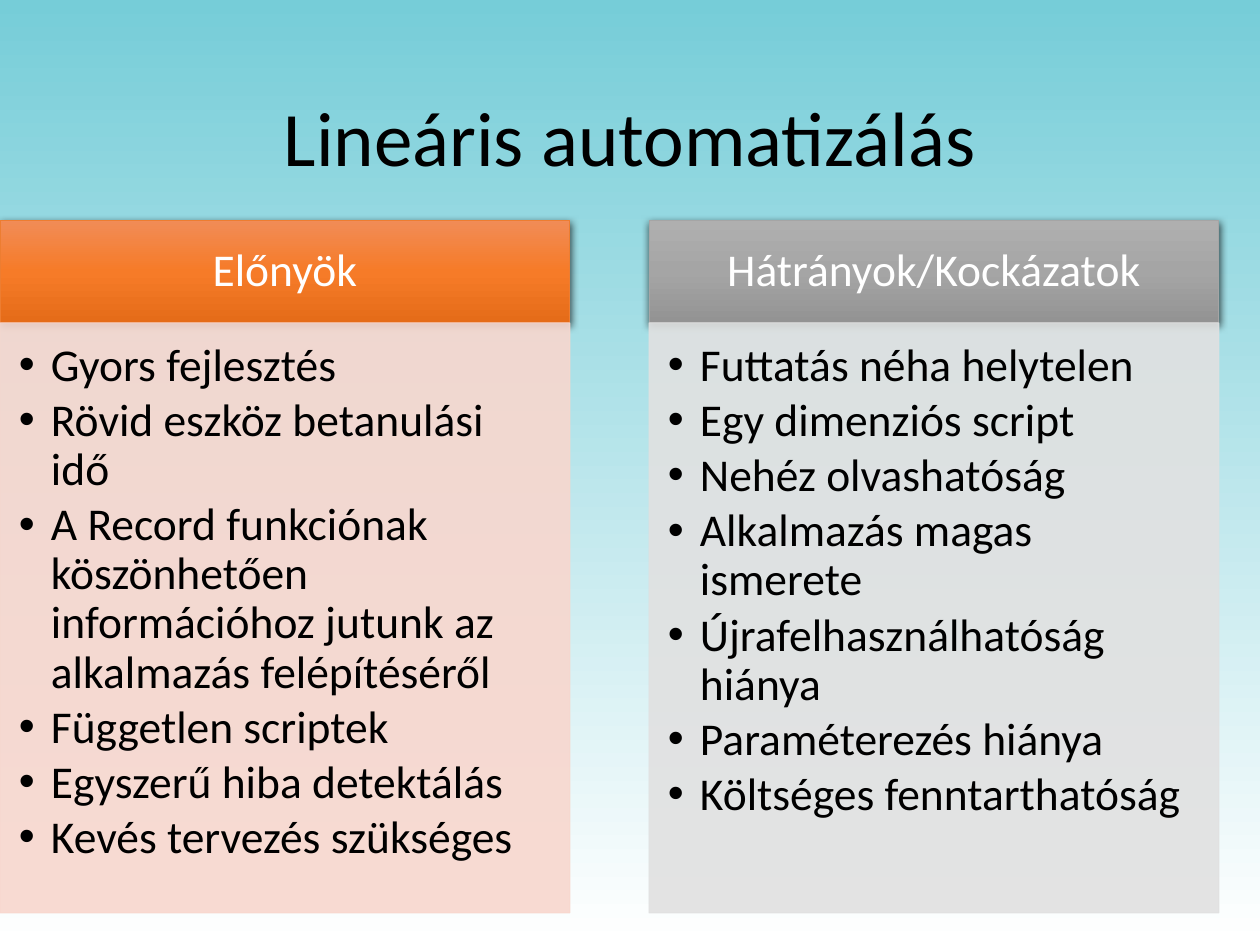
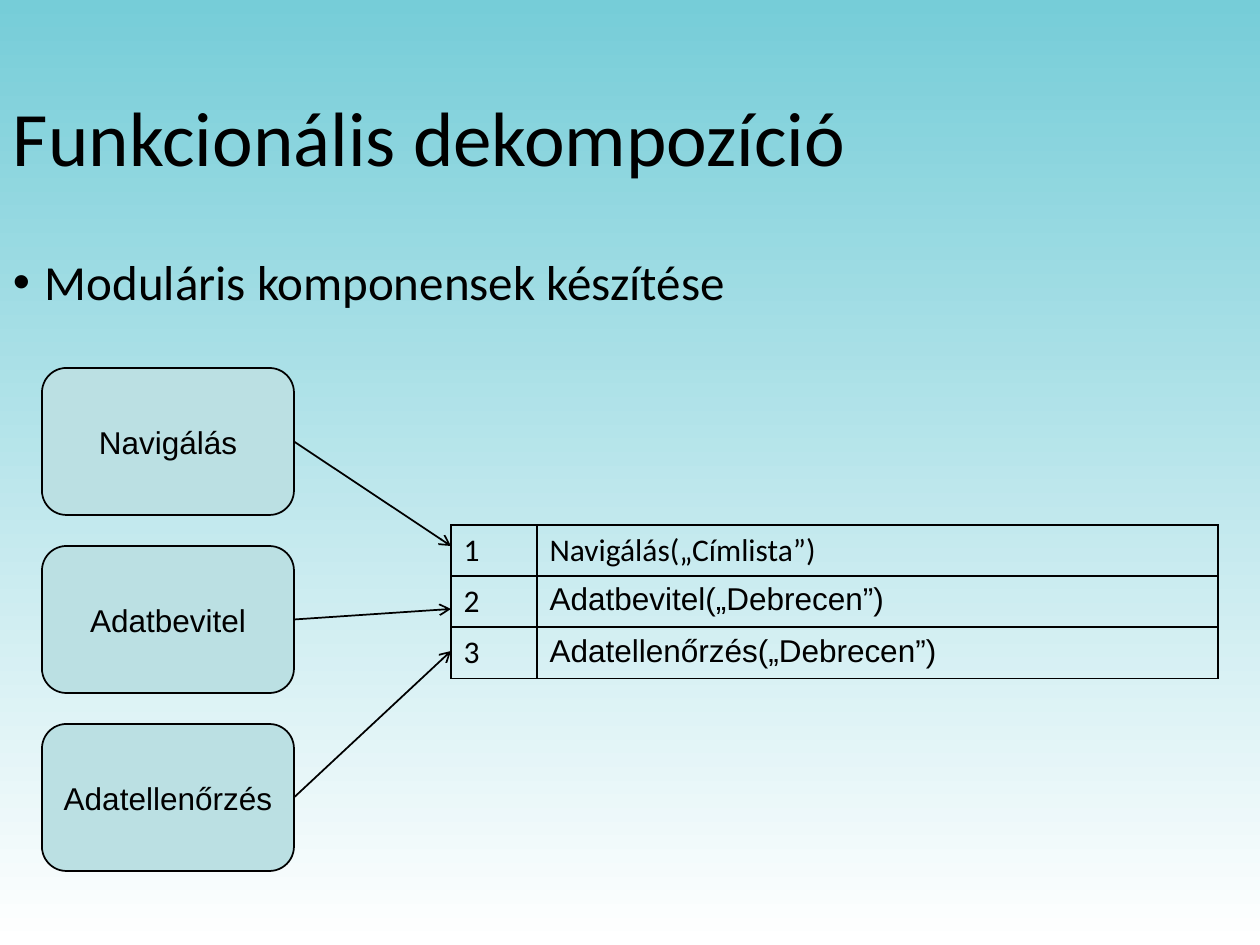
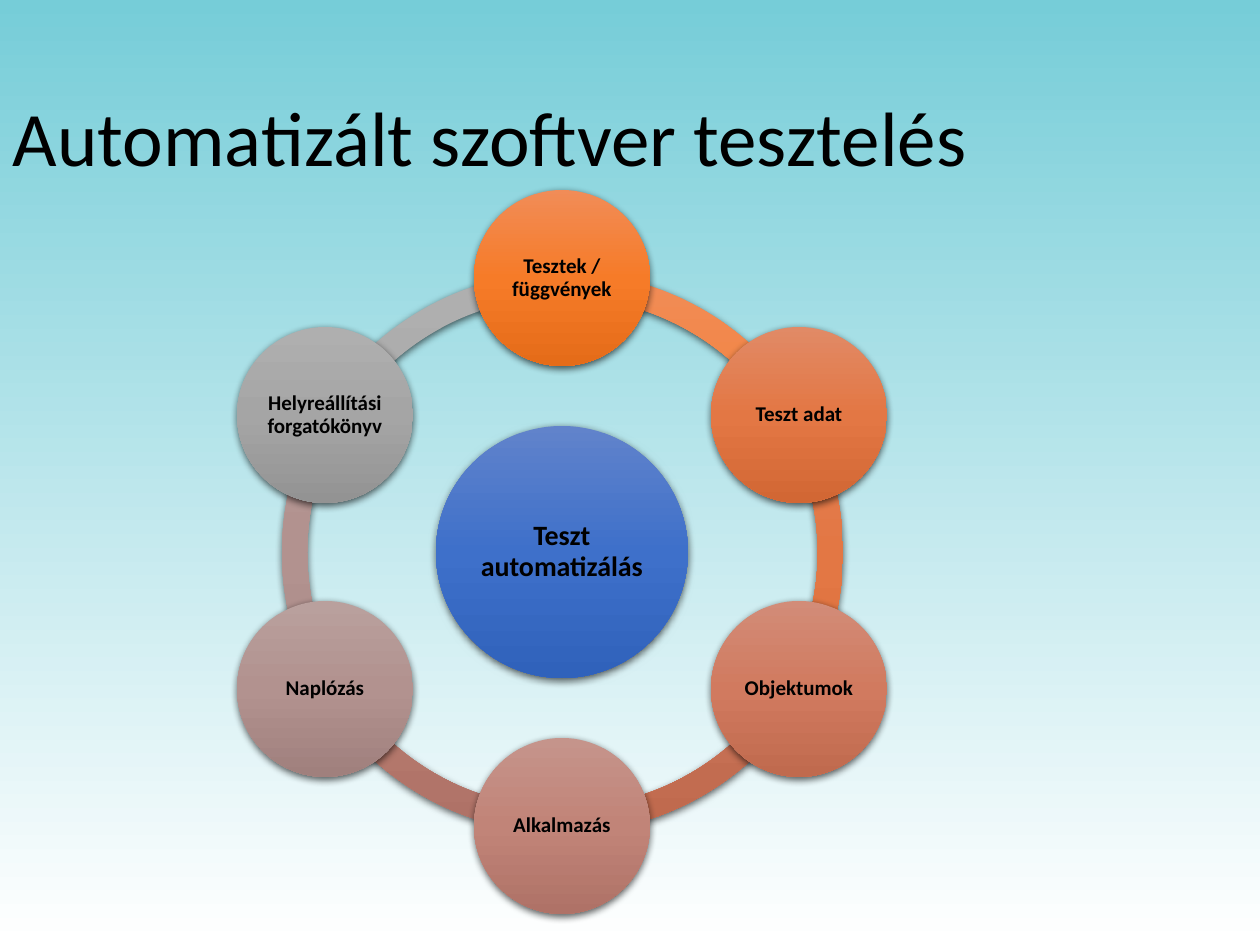
"""Build three slides on test automation approaches."""
from math import cos, radians, sin

from lxml.etree import SubElement
from pptx import Presentation
from pptx.dml.color import RGBColor
from pptx.enum.shapes import MSO_CONNECTOR, MSO_SHAPE
from pptx.enum.text import MSO_ANCHOR, MSO_AUTO_SIZE, PP_ALIGN
from pptx.oxml.ns import qn
from pptx.util import Emu, Pt

EMU_PER_PX = 914400 / 126
COLORS = {
    "black": "000000", "white": "FFFFFF", "sky": "76CDD8", "module": "BBE0E3",
    "pros": "F8D7CE", "cons": "E1E1E1", "pros_edge": "ED7D31",
    "orange_top": "F18C57", "orange": "F67B28", "orange_bottom": "E56C19",
    "rust_top": "E18A66", "rust": "E37744", "rust_bottom": "D26734",
    "coral_top": "D28C78", "coral": "D17A5F", "coral_bottom": "C06A4E",
    "rose_top": "C5948B", "rose": "C18478", "rose_bottom": "AF7267",
    "mauve_top": "B9A09D", "mauve": "B2928F", "mauve_bottom": "A0807D",
    "gray_top": "AFAFAF", "gray": "A5A5A5", "gray_bottom": "939393",
    "blue_top": "6183CB", "blue": "3E70CA", "blue_bottom": "3062BB",
}
PROS = [
    "Gyors fejlesztés",
    "Rövid eszköz betanulási idő",
    "A Record funkciónak köszönhetően információhoz jutunk az alkalmazás felépítéséről",
    "Független scriptek",
    "Egyszerű hiba detektálás",
    "Kevés tervezés szükséges",
]
CONS = [
    "Futtatás néha helytelen",
    "Egy dimenziós script",
    "Nehéz olvashatóság",
    "Alkalmazás magas ismerete",
    "Újrafelhasználhatóság hiánya",
    "Paraméterezés hiánya",
    "Költséges fenntarthatóság",
]
MODULES = [("Navigálás", 546), ("Adatbevitel", 609), ("Adatellenőrzés", 651)]
STEPS = [
    ("Navigálás(„Címlista”)", "Calibri"),
    ("Adatbevitel(„Debrecen”)", "Arial"),
    ("Adatellenőrzés(„Debrecen”)", "Arial"),
]
RING = [
    ("Tesztek / függvények", "orange"), ("Teszt adat", "rust"),
    ("Objektumok", "coral"), ("Alkalmazás", "rose"),
    ("Naplózás", "mauve"), ("Helyreállítási forgatókönyv", "gray"),
]


def px(*lengths):
    """Turn px lengths into a list of EMU."""
    return [Emu(round(length * EMU_PER_PX)) for length in lengths]


def rgb(name):
    """Return the named colour."""
    return RGBColor.from_string(COLORS[name])


def shade_down(fill, owner, names):
    """Fill with an evenly stepped gradient running downwards."""
    fill.gradient()
    fill.gradient_angle = 270
    stops = next(owner.iter(qn("a:gsLst")))
    stops.clear()
    for index, name in enumerate(names):
        stop = SubElement(stops, qn("a:gs"), pos=str(index * 100000 // (len(names) - 1)))
        SubElement(stop, qn("a:srgbClr"), val=COLORS[name])


def cast_shadow(shape):
    """Add the soft shadow that falls below a shape."""
    effects = shape.element.spPr.find(qn("a:effectLst"))
    shadow = SubElement(effects, qn("a:outerShdw"), blurRad="57150", dist="19050",
                        dir="5400000", algn="ctr", rotWithShape="0")
    color = SubElement(shadow, qn("a:srgbClr"), val=COLORS["black"])
    SubElement(color, qn("a:alpha"), val="63000")


def add_bullet(paragraph):
    """Give a paragraph a hanging round bullet."""
    properties = paragraph._p.get_or_add_pPr()
    hang = px(32)[0]
    properties.set("marL", str(hang))
    properties.set("indent", str(-hang))
    SubElement(properties, qn("a:buFont"), typeface="Arial")
    SubElement(properties, qn("a:buChar"), char="•")


def write(frame, lines, size, font="Calibri", color="black", bold=False, align=PP_ALIGN.LEFT,
          anchor=MSO_ANCHOR.TOP, insets=(13, 6, 13, 6), spacing=0.9, gap=0, bullets=False):
    """Fill a text frame with evenly formatted paragraphs."""
    frame.text = "\n".join(lines)
    frame.word_wrap = True
    frame.auto_size = MSO_AUTO_SIZE.NONE
    frame.vertical_anchor = anchor
    (frame.margin_left, frame.margin_top,
     frame.margin_right, frame.margin_bottom) = px(*insets)
    for paragraph in frame.paragraphs:
        if bullets:
            add_bullet(paragraph)
        paragraph.alignment = align
        paragraph.line_spacing = spacing
        paragraph.space_before = Pt(0)
        paragraph.space_after = Pt(gap)
        for run in paragraph.runs:
            run.font.size = Pt(size)
            run.font.name = font
            run.font.bold = bold
            run.font.color.rgb = rgb(color)


def add_titled_slide(prs, title, width=1086, align=PP_ALIGN.LEFT):
    """Add a slide with its title placed and formatted."""
    slide = prs.slides.add_slide(prs.slide_layouts[5])
    heading = slide.shapes.title
    heading.left, heading.top, heading.width, heading.height = px(0, 50, width, 183)
    write(heading.text_frame, [title], 44, align=align, anchor=MSO_ANCHOR.MIDDLE)
    return slide


def add_block(slide, kind, box, fill, edge=None, edge_width=0.5, glossy=False):
    """Add a preset shape, either flat or glossy with a shadow."""
    block = slide.shapes.add_shape(kind, *px(*box))
    block.shadow.inherit = False
    if glossy:
        shade_down(block.fill, block.element, [f"{fill}_top", fill, f"{fill}_bottom"])
        cast_shadow(block)
    else:
        block.fill.solid()
        block.fill.fore_color.rgb = rgb(fill)
    if edge:
        block.line.color.rgb = rgb(edge)
        block.line.width = Pt(edge_width)
    else:
        block.line.fill.background()
    return block


def add_column(slide, left, heading, points, head_fill, head_edge, body_fill):
    """Add a headed list of points."""
    head = add_block(slide, MSO_SHAPE.RECTANGLE, (left, 220, 570, 103),
                     head_fill, head_edge, glossy=True)
    write(head.text_frame, [heading], 26, color="white", align=PP_ALIGN.CENTER,
          anchor=MSO_ANCHOR.MIDDLE, insets=(25, 15, 25, 15))
    body = add_block(slide, MSO_SHAPE.RECTANGLE, (left, 323, 570, 590), body_fill, body_fill)
    for color in body.element.spPr.iter(qn("a:srgbClr")):
        SubElement(color, qn("a:alpha"), val="90000")
    write(body.text_frame, points, 26, insets=(19, 19, 25, 29), gap=3.5, bullets=True)


def add_arrow(slide, module, end_x, end_y):
    """Draw an arrow from a module's right side to a point."""
    arrow = slide.shapes.add_connector(MSO_CONNECTOR.STRAIGHT, *px(0, 0, end_x, end_y))
    arrow.begin_connect(module, 3)
    arrow.line.color.rgb = rgb("black")
    arrow.line.width = Pt(1)
    SubElement(arrow.line._get_or_add_ln(), qn("a:tailEnd"), type="arrow")
    SubElement(arrow.element.spPr, qn("a:effectLst"))


def outline_cell(cell):
    """Give a cell thin black borders and no fill."""
    properties = cell._tc.get_or_add_tcPr()
    for side in ("a:lnL", "a:lnR", "a:lnT", "a:lnB"):
        border = SubElement(properties, qn(side), w=str(Pt(1)))
        SubElement(SubElement(border, qn("a:solidFill")), qn("a:srgbClr"), val=COLORS["black"])
    cell.fill.background()


def add_steps(slide, left, top):
    """Add the table of numbered module calls."""
    widths = px(86, 681)
    row_height = px(51)[0]
    steps = slide.shapes.add_table(len(STEPS), 2, *px(left, top), sum(widths),
                                   row_height * len(STEPS)).table
    steps.first_row = steps.horz_banding = False
    for column, width in zip(steps.columns, widths):
        column.width = width
    for index, (call, font) in enumerate(STEPS):
        steps.rows[index].height = row_height
        for column, (text, face) in enumerate([(str(index + 1), "Calibri"), (call, font)]):
            cell = steps.cell(index, column)
            outline_cell(cell)
            cell.text_frame.text = text
            run = cell.text_frame.paragraphs[0].runs[0]
            run.font.size = Pt(18)
            run.font.name = face
            run.font.color.rgb = rgb("black")


def add_disc(slide, center_x, center_y, diameter, label, size, fill):
    """Add a labelled glossy disc around a centre."""
    corner = (round(center_x - diameter / 2), round(center_y - diameter / 2))
    disc = add_block(slide, MSO_SHAPE.OVAL, (*corner, diameter, diameter), fill, glossy=True)
    write(disc.text_frame, [label], size, bold=True, align=PP_ALIGN.CENTER,
          anchor=MSO_ANCHOR.MIDDLE, insets=(2, 2, 2, 2))


def add_ring(slide, center_x, center_y):
    """Add the hub, its surrounding discs and the arcs joining them."""
    diameter, orbit, turn = 561, 274, 360 // len(RING)
    corner = (center_x - diameter // 2, center_y - diameter // 2)
    for index, (_, fill) in reversed(list(enumerate(RING))):
        arc = add_block(slide, MSO_SHAPE.BLOCK_ARC, (*corner, diameter, diameter),
                        fill, glossy=True)
        start = 270 + index * turn
        arc.adjustments[0] = start % 360 * 0.6
        arc.adjustments[1] = (start + turn) % 360 * 0.6
        arc.adjustments[2] = 0.045
    add_disc(slide, center_x, center_y, 252, "Teszt automatizálás", 16, "blue")
    for index, (label, fill) in enumerate(RING):
        angle = radians(270 + index * turn)
        add_disc(slide, center_x + orbit * cos(angle), center_y + orbit * sin(angle),
                 176, label, 12, fill)


def build_linear(prs):
    """Build the slide on linear automation."""
    slide = add_titled_slide(prs, "Lineáris automatizálás", 1260, PP_ALIGN.CENTER)
    add_column(slide, 0, "Előnyök", PROS, "orange", "pros_edge", "pros")
    add_column(slide, 649, "Hátrányok/Kockázatok", CONS, "gray", "gray", "cons")


def build_decomposition(prs):
    """Build the slide on functional decomposition."""
    slide = add_titled_slide(prs, "Funkcionális dekompozíció")
    summary = slide.shapes.add_textbox(*px(0, 252, 1086, 100))
    write(summary.text_frame, ["Moduláris komponensek készítése"], 28, bullets=True)
    add_steps(slide, 451, 525)
    for index, (name, target_y) in enumerate(MODULES):
        module = add_block(slide, MSO_SHAPE.ROUNDED_RECTANGLE,
                           (42, 368 + index * 178, 252, 147), "module", "black", 1)
        write(module.text_frame, [name], 18, font="Arial", align=PP_ALIGN.CENTER,
              anchor=MSO_ANCHOR.MIDDLE, insets=(6, 6, 6, 6), spacing=1.0)
        add_arrow(slide, module, 451, target_y)


def build_testing(prs):
    """Build the slide on automated software testing."""
    slide = add_titled_slide(prs, "Automatizált szoftver tesztelés")
    add_ring(slide, 562, 552)


def main():
    """Build and save the presentation."""
    prs = Presentation()
    prs.slide_width, prs.slide_height = px(1260, 945)
    master = prs.slide_master
    shade_down(master.background.fill, master.element, ["sky", "white"])
    build_linear(prs)
    build_decomposition(prs)
    build_testing(prs)
    prs.save("out.pptx")


if __name__ == "__main__":
    main()
